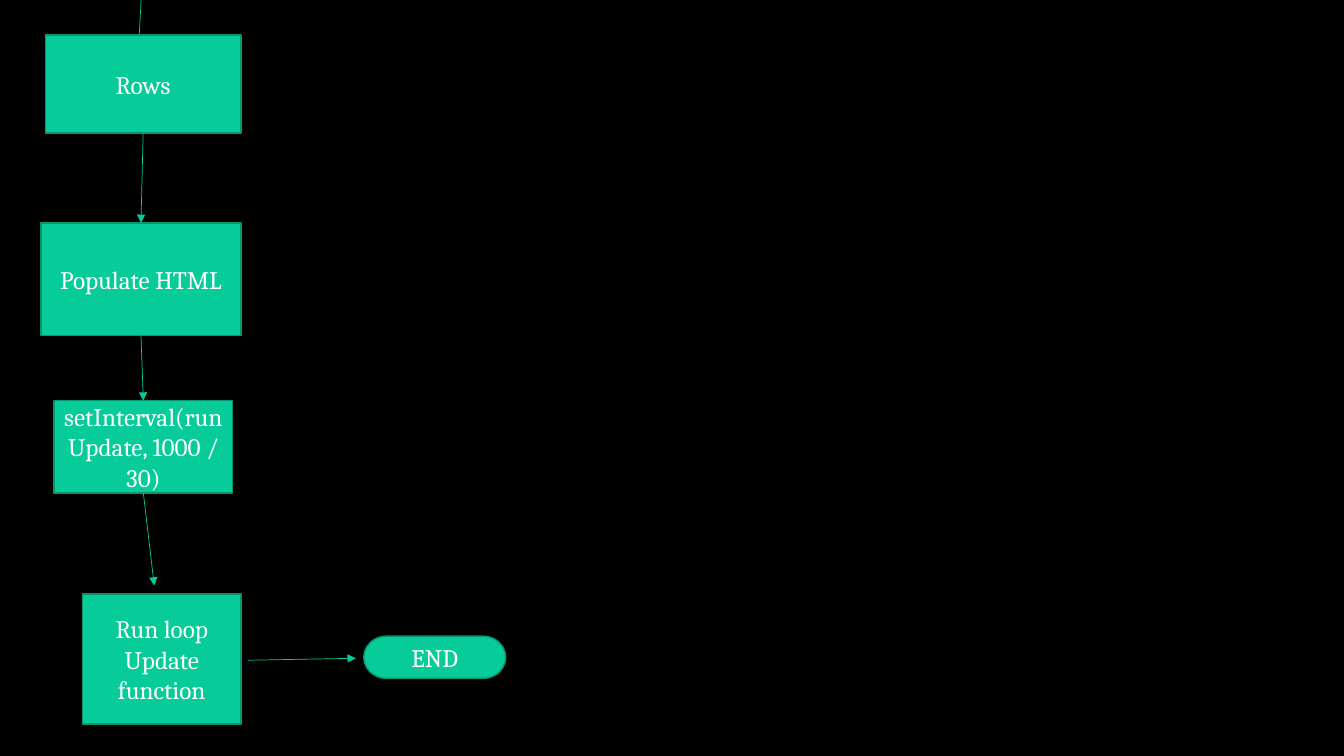
from dataclasses import dataclass

from lxml import etree
from pptx import Presentation
from pptx.dml.color import RGBColor
from pptx.enum import shapes, text
from pptx.oxml.ns import qn
from pptx.util import Pt

SHAPE = shapes.MSO_SHAPE
TOP, BOTTOM = 0, 2


@dataclass(frozen=True)
class Theme:
    """Colours, font and sizes of the flowchart."""
    back: RGBColor = RGBColor(0x00, 0x00, 0x00)
    accent: RGBColor = RGBColor(0x07, 0xCB, 0x98)
    edge: RGBColor = RGBColor(0x05, 0x96, 0x70)
    ink: RGBColor = RGBColor(0xFF, 0xFF, 0xFF)
    font: str = "Cambria"
    size: float = 18
    edge_width: float = 1
    arrow_width: float = 0.5


THEME = Theme()


def write(tf, lines, size=THEME.size, color=THEME.ink, align=text.PP_ALIGN.CENTER):
    """Fill a text frame with one formatted paragraph per line."""
    tf.word_wrap = True
    tf.vertical_anchor = text.MSO_ANCHOR.MIDDLE
    for i, line in enumerate(lines):
        p = tf.paragraphs[0] if i == 0 else tf.add_paragraph()
        p.alignment = align
        r = p.add_run()
        r.text = line
        r.font.name = THEME.font
        r.font.size = Pt(size)
        r.font.color.rgb = color


def add_step(s, kind, box, *lines):
    """Add a flowchart step and return its shape."""
    sp = s.shapes.add_shape(kind, *map(Pt, box))
    sp.shadow.inherit = False
    sp.fill.solid()
    sp.fill.fore_color.rgb = THEME.accent
    sp.line.color.rgb = THEME.edge
    sp.line.width = Pt(THEME.edge_width)
    write(sp.text_frame, lines)
    return sp


def add_arrow(s, start=(0, 0), end=(0, 0)):
    """Add a thin straight arrow between two points."""
    cxn = s.shapes.add_connector(
        shapes.MSO_CONNECTOR.STRAIGHT, *map(Pt, (*start, *end)))
    cxn.line.color.rgb = THEME.accent
    cxn.line.width = Pt(THEME.arrow_width)
    etree.SubElement(cxn.line._get_or_add_ln(), qn("a:tailEnd"), type="triangle")
    etree.SubElement(cxn._element.spPr, qn("a:effectLst"))
    return cxn


def link_down(s, upper, lower):
    """Join the bottom of one step to the top of the next."""
    cxn = add_arrow(s)
    cxn.begin_connect(upper, BOTTOM)
    cxn.end_connect(lower, TOP)


def main():
    """Build the flowchart slide."""
    prs = Presentation()
    prs.slide_width, prs.slide_height = Pt(960), Pt(540)
    s = prs.slides.add_slide(prs.slide_layouts[6])
    s.background.fill.solid()
    s.background.fill.fore_color.rgb = THEME.back

    add_arrow(s, (100.8, 0), (97.2, 67.7))
    rows = add_step(s, SHAPE.RECTANGLE, (32.4, 25, 139.7, 70), "Rows")
    populate = add_step(s, SHAPE.RECTANGLE, (29.3, 159.2, 142.8, 80.4),
                        "Populate HTML")
    interval = add_step(s, SHAPE.FLOWCHART_PROCESS, (38.6, 286.2, 127.6, 66),
                        "setInterval(runUpdate, 1000 / 30)")
    add_step(s, SHAPE.FLOWCHART_PROCESS, (59, 424.2, 113.2, 93),
             "Run loop", "Update function")
    add_step(s, SHAPE.FLOWCHART_TERMINATOR, (259.8, 454.4, 101.5, 30.2), "END")

    link_down(s, rows, populate)
    link_down(s, populate, interval)
    add_arrow(s, (102.4, 352.2), (110.2, 418.3))
    add_arrow(s, (177.1, 471.6), (254.2, 470.2))

    prs.save("out.pptx")


main()
